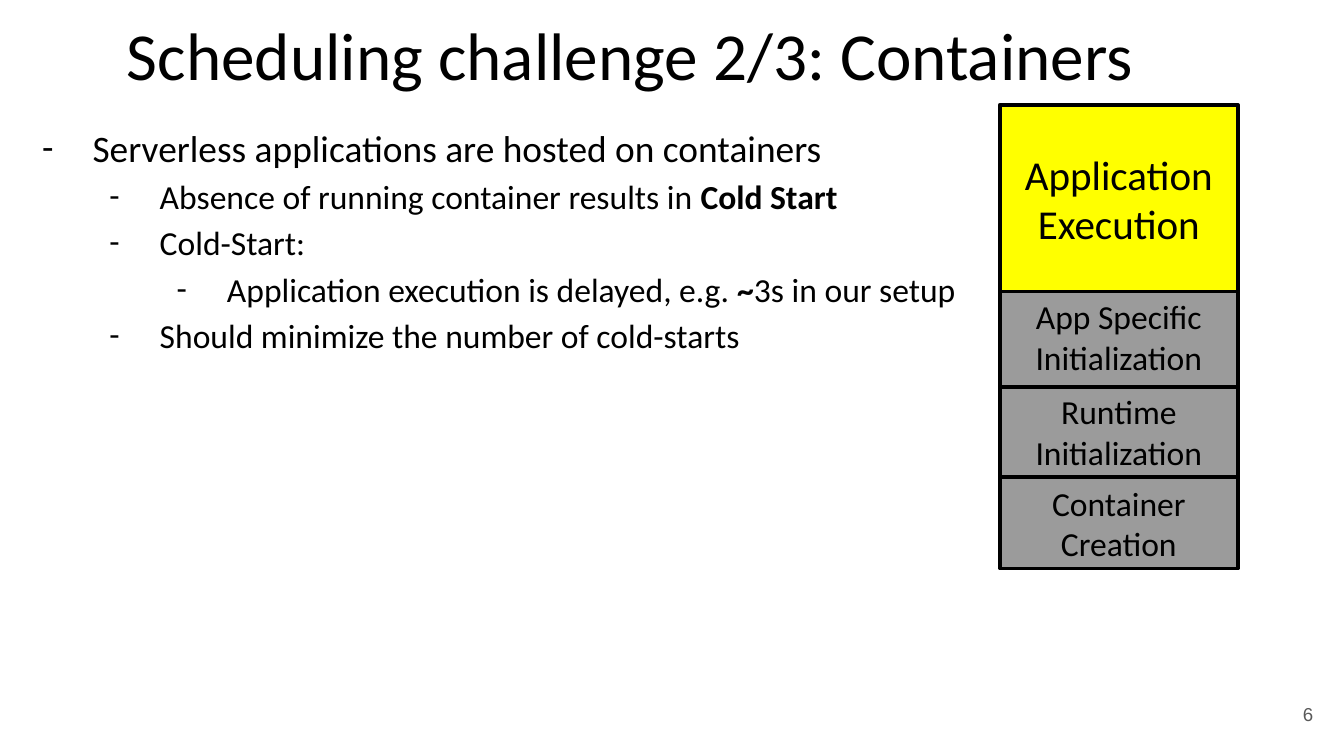
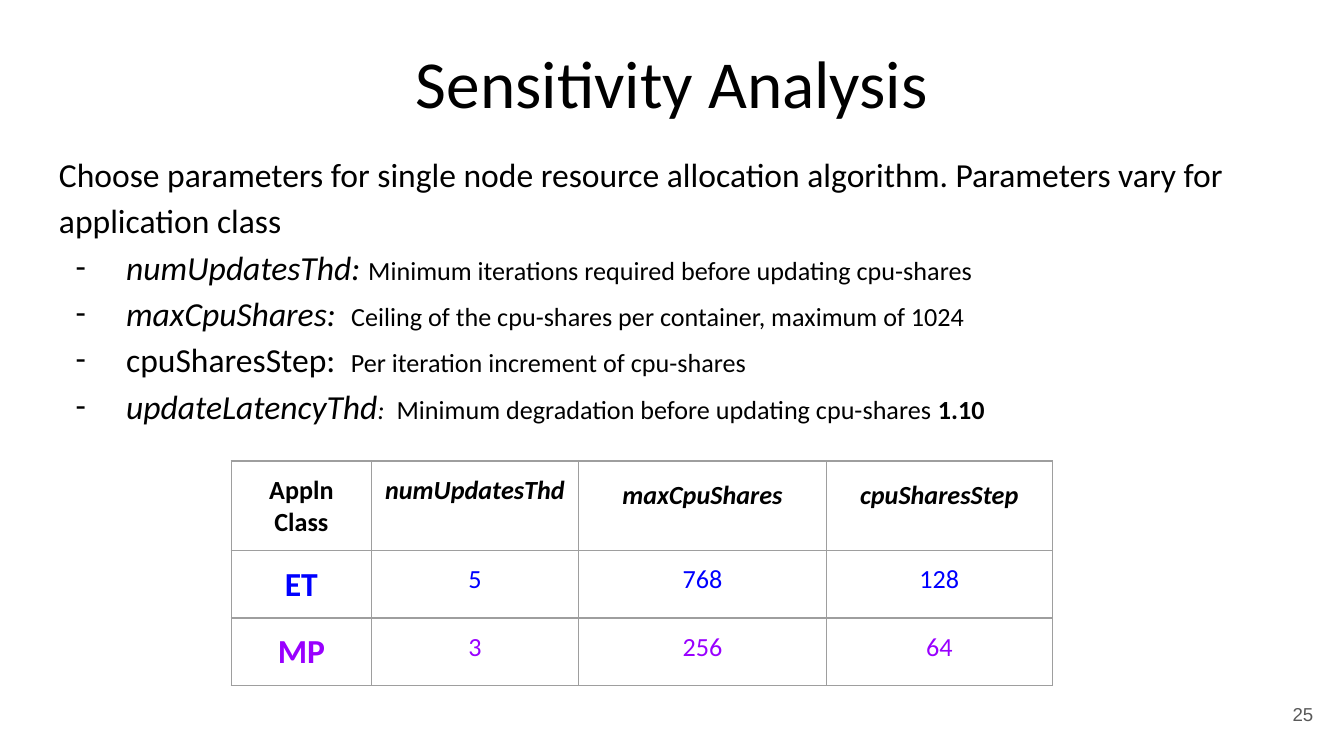
"""Build two slides on serverless containers and parameter sensitivity."""
from dataclasses import dataclass

from lxml import etree
from pptx import Presentation
from pptx.dml.color import RGBColor
from pptx.enum.shapes import MSO_SHAPE
from pptx.enum.text import MSO_ANCHOR, PP_ALIGN
from pptx.oxml.ns import qn
from pptx.util import Inches, Pt

LEFT, CENTER, RIGHT = PP_ALIGN.LEFT, PP_ALIGN.CENTER, PP_ALIGN.RIGHT
TOP, MIDDLE = MSO_ANCHOR.TOP, MSO_ANCHOR.MIDDLE
RECTANGLE = MSO_SHAPE.RECTANGLE


@dataclass(frozen=True)
class Theme:
    font: str = "Calibri"
    number_font: str = "Arial"
    ink: str = "000000"
    paper: str = "FFFFFF"
    muted: str = "595959"
    setup: str = "9B9B9B"
    execution: str = "FFFF00"
    grid: str = "9E9E9E"
    et: str = "0000FF"
    mp: str = "9900FF"
    title: int = 36
    execution_size: int = 22
    lead: int = 20
    text: int = 18
    small: int = 14
    number: int = 10
    spacing: float = 1.15


theme = Theme()
deck = Presentation()
deck.slide_width = Inches(10)
deck.slide_height = deck.slide_width * 9 // 16
UNIT = deck.slide_width // 100
INSET = UNIT


def write(frame, spans, size, align=LEFT, color=theme.ink, font=theme.font, depth=0, spacing=None):
    first = frame.paragraphs[0]
    para = frame.add_paragraph() if first.runs else first
    para.alignment = align
    para.line_spacing = spacing
    if depth:
        para.level = depth - 1
        properties = para._p.get_or_add_pPr()
        properties.set("marL", str(Inches(0.5 * depth)))
        properties.set("indent", str(-Pt(27)))
        bullet_color = etree.SubElement(properties, qn("a:buClr"))
        etree.SubElement(bullet_color, qn("a:srgbClr"), val=theme.ink)
        etree.SubElement(properties, qn("a:buFont"), typeface=theme.font)
        etree.SubElement(properties, qn("a:buChar"), char="-")
    para.font.name = font
    para.font.size = Pt(size)
    para.font.color.rgb = RGBColor.from_string(color)
    for text, style, *own_size in spans:
        span = para.add_run()
        span.text = text
        if "b" in style:
            span.font.bold = True
        if "i" in style:
            span.font.italic = True
        if own_size:
            span.font.size = Pt(own_size[0])
    return para


def add_text_box(page, left, top, width, height, anchor=TOP):
    box = page.shapes.add_textbox(*(round(part * UNIT) for part in (left, top, width, height)))
    frame = box.text_frame
    frame.word_wrap = True
    frame.vertical_anchor = anchor
    frame.margin_left = frame.margin_right = frame.margin_top = frame.margin_bottom = INSET
    return frame


container_lines = [
    (1, theme.lead, [("Serverless applications are hosted on containers", "")]),
    (2, theme.text, [("Absence of running container results in ", ""), ("Cold Start", "b")]),
    (2, theme.text, [("Cold-Start: ", "")]),
    (3, theme.text, [("Application execution is delayed, e.g. ", ""), ("~", "b"),
                     ("3s in our setup", "")]),
    (2, theme.text, [("Should minimize the number of cold-starts", "")]),
]
parameter_lines = [
    (0, theme.text, [("Choose parameters for single node resource allocation algorithm. "
                      "Parameters vary for application class", "")]),
    (1, theme.text, [("numUpdatesThd: ", "i"),
                     ("Minimum iterations required before updating cpu-shares ", "", theme.small)]),
    (1, theme.text, [("maxCpuShares:  ", "i"),
                     ("Ceiling of the cpu-shares per container, maximum of 1024", "", theme.small)]),
    (1, theme.text, [("cpuSharesStep:  ", ""),
                     ("Per iteration increment of cpu-shares", "", theme.small)]),
    (1, theme.text, [("updateLatencyThd", "i"), (":  ", "i", theme.small),
                     ("Minimum degradation before updating cpu-shares ", "", theme.small),
                     ("1.10", "b", theme.small)]),
]
slides = [
    ("Scheduling challenge 2/3: Containers", (2.8, 0), 6 * INSET,
     (0.9, 7.8, 72.1, 41.9), container_lines, "6"),
    ("Sensitivity Analysis", (3.4, 2.1), INSET,
     (3.4, 10, 93.2, 41.9), parameter_lines, "25"),
]
for title, corner, title_inset, body_area, lines, number in slides:
    page = deck.slides.add_slide(deck.slide_layouts[6])
    page.background.fill.solid()
    page.background.fill.fore_color.rgb = RGBColor.from_string(theme.paper)
    heading = add_text_box(page, *corner, 93.2, 6.3)
    heading.margin_right = title_inset
    write(heading, [(title, "")], theme.title, CENTER)
    body = add_text_box(page, *body_area)
    for depth, size, spans in lines:
        write(body, spans, size, depth=depth, spacing=theme.spacing)
    write(add_text_box(page, 92.7, 51, 6, 4.3, MIDDLE), [(number, "")], theme.number, RIGHT,
          theme.muted, theme.number_font)

containers_page, analysis_page = deck.slides

stages = [
    ("Runtime Initialization", 28.7, 6.8, theme.setup, theme.text),
    ("App Specific Initialization", 21.3, 7.5, theme.setup, theme.text),
    ("Container Creation", 35.5, 6.8, theme.setup, theme.text),
    ("Application Execution", 7.8, 13.9, theme.execution, theme.execution_size),
]
for label, top, height, fill, size in stages:
    stage = containers_page.shapes.add_shape(
        RECTANGLE, *(round(part * UNIT) for part in (74.4, top, 17.7, height)))
    stage.shadow.inherit = False
    stage.fill.solid()
    stage.fill.fore_color.rgb = RGBColor.from_string(fill)
    stage.line.color.rgb = RGBColor.from_string(theme.ink)
    stage.line.width = Pt(2)
    stage.text_frame.word_wrap = True
    stage.text_frame.vertical_anchor = MIDDLE
    write(stage.text_frame, [(label, "")], size, CENTER)

column_widths = [10.45, 15.4, 18.45, 16.8]
table_rows = [
    (theme.ink, ["Appln Class", "numUpdatesThd", "maxCpuShares", "cpuSharesStep"]),
    (theme.et, ["ET", "5", "768", "128"]),
    (theme.mp, ["MP", "3", "256", "64"]),
]
table_frame = analysis_page.shapes.add_table(
    len(table_rows), len(column_widths),
    *(round(part * UNIT) for part in (17.2, 34.3, sum(column_widths), 16.7)))
table = table_frame.table
table.first_row = table.horz_banding = False
for column, width in zip(table.columns, column_widths):
    column.width = round(width * UNIT)
for row_index, (color, labels) in enumerate(table_rows):
    table.rows[row_index].height = round(4.2 * UNIT)
    for column_index, label in enumerate(labels):
        cell = table.cell(row_index, column_index)
        cell.margin_left = cell.margin_right = cell.margin_top = cell.margin_bottom = INSET
        is_header, is_class = row_index == 0, column_index == 0
        style = ("b" if is_header or is_class else "") + ("i" if is_header and not is_class else "")
        size = theme.text if is_class and not is_header else theme.small
        para = write(cell.text_frame, [(label, style)], size, CENTER, color)
        if is_header and column_index > 1:
            para.line_spacing = theme.spacing
            para.space_after = Pt(16)
        for side in ("a:lnL", "a:lnR", "a:lnT", "a:lnB"):
            border = etree.SubElement(cell._tc.get_or_add_tcPr(), qn(side), w=str(Pt(0.75)))
            border_fill = etree.SubElement(border, qn("a:solidFill"))
            etree.SubElement(border_fill, qn("a:srgbClr"), val=theme.grid)
        cell.fill.background()

deck.save("out.pptx")
